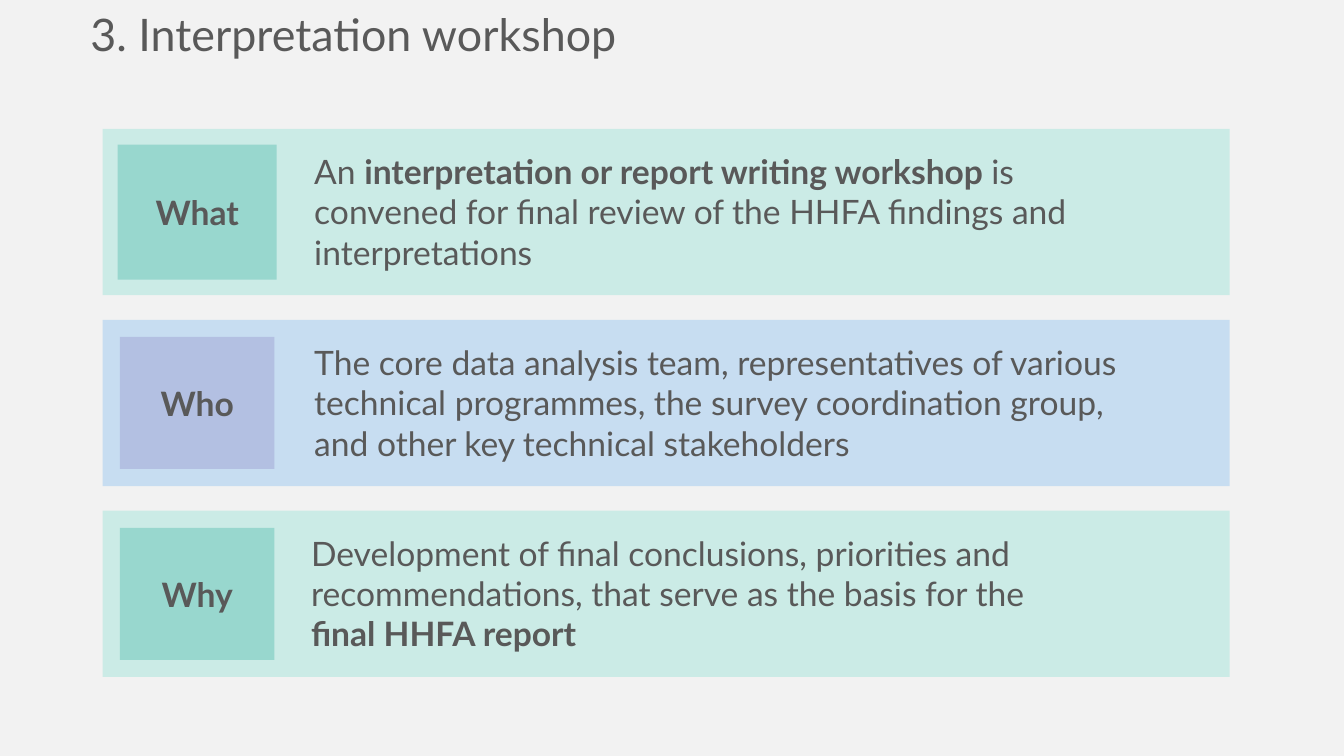
import pptx
import pptx.util
import pptx.dml.color
import pptx.enum.shapes
import pptx.enum.text

Cm = pptx.util.Cm
FONT = "Lato"
COLORS = {"background": "F2F2F2", "text": "595959",
          "mint": "CBEBE6", "teal": "98D7CE",
          "sky": "C7DDF1", "lavender": "B3C0E2"}

TITLE = "3. Interpretation workshop"
# Each run is (text, bold); "\n" is a line break
ROWS = [
    {"tag": "What", "band": "mint", "fill": "teal", "tag_size": (4.01, 3.4),
     "text_left": 7.67, "text_width": 21.92,
     "runs": [("An ", False),
              ("interpretation or report writing workshop ", True),
              ("is convened for final review of the HHFA findings and "
               "interpretations", False)]},
    {"tag": "Who", "band": "sky", "fill": "lavender", "tag_size": (3.89, 3.33),
     "text_left": 7.67, "text_width": 22.3,
     "runs": [("The core data analysis team, representatives of various "
               "technical programmes, the survey coordination group, ", False),
              ("\n", False),
              ("and other key technical stakeholders", False)]},
    {"tag": "Why", "band": "mint", "fill": "teal", "tag_size": (3.89, 3.33),
     "text_left": 7.59, "text_width": 22.38,
     "runs": [("Development of final conclusions, priorities and "
               "recommendations, that serve as the basis for the ", False),
              ("\n", False),
              ("final HHFA report", True)]},
]

# Layout in centimetres
BAND_LEFT, BAND_TOP, BAND_WIDTH, BAND_HEIGHT = 2.59, 3.25, 28.4, 4.19
BAND_PITCH = 4.81
TAG_CENTER = 4.97
TEXT_HEIGHT = 3.33


def rgb(name):
    return pptx.dml.color.RGBColor.from_string(COLORS[name])


def style(p, size):
    p.font.name = FONT
    p.font.size = pptx.util.Pt(size)
    p.font.color.rgb = rgb("text")


def add_rect(slide, left, top, width, height, color):
    sp = slide.shapes.add_shape(pptx.enum.shapes.MSO_SHAPE.RECTANGLE,
                                Cm(left), Cm(top), Cm(width), Cm(height))
    sp.shadow.inherit = False
    sp.fill.solid()
    sp.fill.fore_color.rgb = rgb(color)
    sp.line.fill.background()
    return sp


def add_text(slide, left, top, width, height, runs, size):
    tf = slide.shapes.add_textbox(Cm(left), Cm(top), Cm(width), Cm(height)).text_frame
    tf.word_wrap = True
    p = tf.paragraphs[0]
    style(p, size)
    for text, bold in runs:
        if text == "\n":
            p.add_line_break()
            continue
        r = p.add_run()
        r.text = text
        if bold:
            r.font.bold = True


def add_row(slide, row, top):
    middle = top + BAND_HEIGHT / 2
    add_rect(slide, BAND_LEFT, top, BAND_WIDTH, BAND_HEIGHT, row["band"])

    # Tag on the left of the band
    width, height = row["tag_size"]
    sp = add_rect(slide, TAG_CENTER - width / 2, middle - height / 2,
                  width, height, row["fill"])
    tf = sp.text_frame
    tf.vertical_anchor = pptx.enum.text.MSO_ANCHOR.MIDDLE
    p = tf.paragraphs[0]
    p.text = row["tag"]
    p.alignment = pptx.enum.text.PP_ALIGN.CENTER
    style(p, 24)
    p.font.bold = True

    # Explanation
    add_text(slide, row["text_left"], middle - TEXT_HEIGHT / 2,
             row["text_width"], TEXT_HEIGHT, row["runs"], 24)


def main():
    prs = pptx.Presentation()
    prs.slide_width, prs.slide_height = Cm(33.87), Cm(19.05)
    slide = prs.slides.add_slide(prs.slide_layouts[6])
    slide.background.fill.solid()
    slide.background.fill.fore_color.rgb = rgb("background")

    add_text(slide, 2.03, 0.05, 31.45, 1.63, [(TITLE, False)], 32)
    for i, row in enumerate(ROWS):
        add_row(slide, row, BAND_TOP + i * BAND_PITCH)

    prs.save("out.pptx")


if __name__ == "__main__":
    main()
